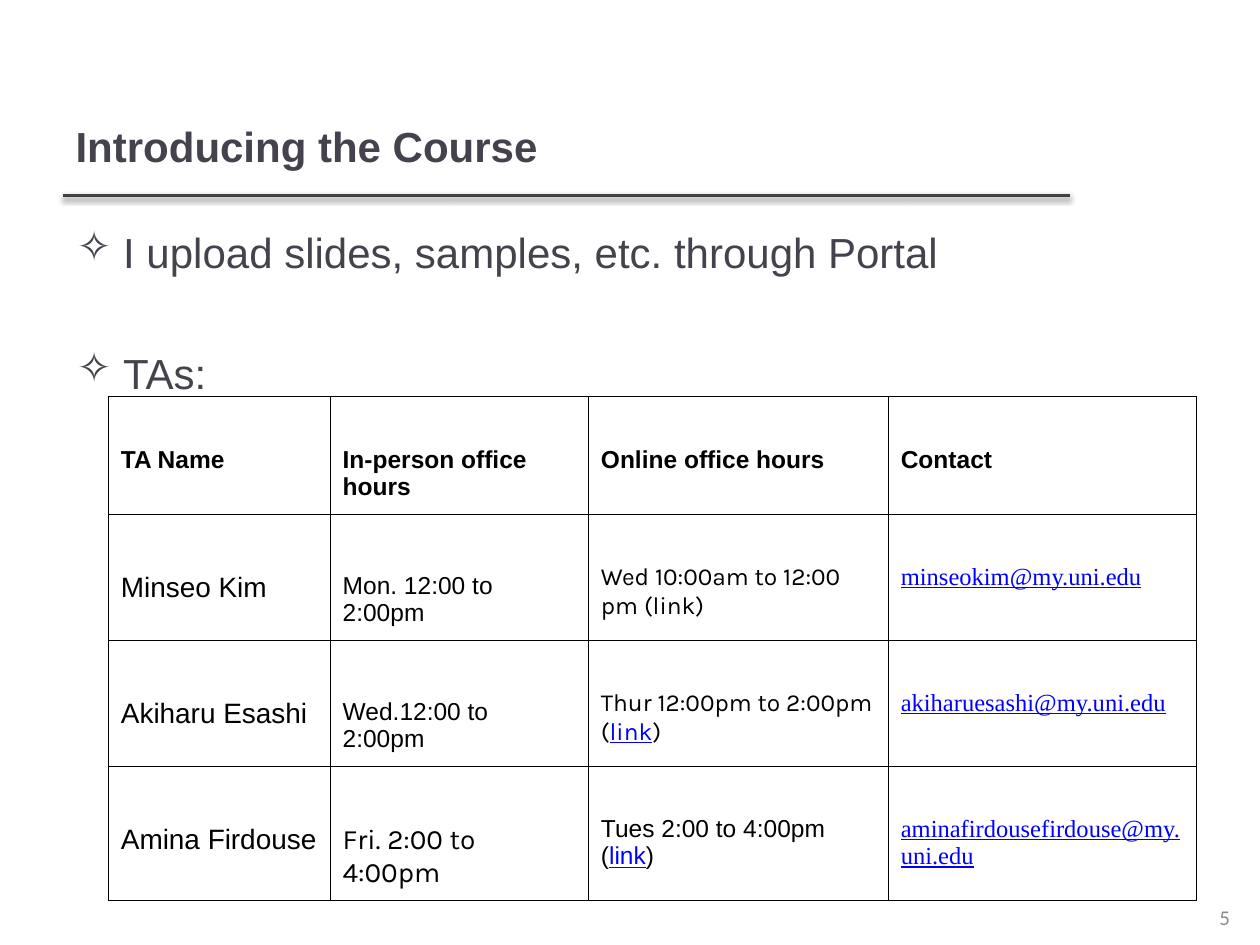
from pptx import Presentation
from pptx import util as u
from pptx.dml.color import RGBColor
from pptx.enum import shapes, text
from pptx.oxml import parse_xml
from pptx.oxml.ns import nsdecls

INK, BLACK, LINK = "46424D", "000000", "0000FF"


def color(value):
    return RGBColor.from_string(value)


def write(paragraph, content, size=14, font="Arial", ink=BLACK,
          bold=False, underline=False):
    run = paragraph.add_run()
    run.text = content
    run.font.size, run.font.name = u.Pt(size), font
    run.font.bold, run.font.underline = bold, underline
    run.font.color.rgb = color(ink)


def link(content, **style):
    return content, dict(style, ink=LINK, underline=True)


class CourseSlide:
    def __init__(self, deck):
        self.slide = deck.slides.add_slide(deck.slide_layouts[5])

    def title(self, content, *box):
        heading = self.slide.shapes.title
        heading.left, heading.top, heading.width, heading.height = map(u.Inches, box)
        frame = heading.text_frame
        frame.vertical_anchor = text.MSO_ANCHOR.MIDDLE
        frame.paragraphs[0].alignment = text.PP_ALIGN.LEFT
        write(frame.paragraphs[0], content, size=24, ink=INK, bold=True)

    def rule(self, left, right, y):
        line = self.slide.shapes.add_connector(
            shapes.MSO_CONNECTOR.STRAIGHT,
            u.Inches(left), u.Inches(y), u.Inches(right), u.Inches(y))
        line.line.color.rgb = color("404040")
        line.line.width = u.Pt(2)
        line._element.spPr.append(parse_xml(
            f'<a:effectLst {nsdecls("a")}><a:outerShdw blurRad="{u.Pt(3.1)}" '
            f'dist="{u.Pt(1.6)}" dir="5400000" rotWithShape="0"><a:srgbClr val="{BLACK}">'
            '<a:alpha val="38000"/></a:srgbClr></a:outerShdw></a:effectLst>'))

    def text_box(self, *box):
        frame = self.slide.shapes.add_textbox(*map(u.Inches, box)).text_frame
        frame.word_wrap = True
        return frame

    def bullets(self, items, *box):
        frame = self.text_box(*box)
        for index, (content, before) in enumerate(items):
            point = frame.add_paragraph() if index else frame.paragraphs[0]
            point.space_before, point.space_after = u.Pt(before), u.Pt(6)
            write(point, content, size=24, ink=INK)
            props = point._p.get_or_add_pPr()
            props.set("marL", str(u.Inches(0.38)))
            props.set("indent", str(u.Inches(-0.37)))
            props.append(parse_xml(
                f'<a:buClr {nsdecls("a")}><a:srgbClr val="{INK}"/></a:buClr>'))
            props.append(parse_xml(f'<a:buChar {nsdecls("a")} char="✧"/>'))

    def page_number(self, content, *box):
        frame = self.text_box(*box)
        frame.vertical_anchor = text.MSO_ANCHOR.MIDDLE
        frame.paragraphs[0].alignment = text.PP_ALIGN.RIGHT
        write(frame.paragraphs[0], content, size=12, font="Calibri", ink="8B8B8B")

    def table(self, rows, left, top, widths, heights):
        grid = self.slide.shapes.add_table(
            len(rows), len(widths), u.Inches(left), u.Inches(top),
            u.Inches(sum(widths)), u.Inches(sum(heights))).table
        grid.first_row = grid.horz_banding = False
        for column, width in zip(grid.columns, widths):
            column.width = u.Inches(width)
        for r, (row, height) in enumerate(zip(rows, heights)):
            grid.rows[r].height = u.Inches(height)
            for c, runs in enumerate(row):
                # Names and in-person hours sit a little lower in their rows
                drop = 0.46 if r and c < 2 else 0.39
                self.cell(grid.cell(r, c), runs, drop)

    def cell(self, cell, runs, drop):
        cell.margin_top = u.Inches(drop)
        cell.fill.background()
        for content, style in runs:
            write(cell.text_frame.paragraphs[0], content, **style)
        props = cell._tc.get_or_add_tcPr()
        for position, side in enumerate("LRTB"):
            props.insert(position, parse_xml(
                f'<a:ln{side} {nsdecls("a")} w="{u.Pt(0.6)}"><a:solidFill>'
                f'<a:srgbClr val="{BLACK}"/></a:solidFill></a:ln{side}>'))


def assistant(name, in_person, online, mail):
    address = link(mail + "@my.uni.edu", font="Times New Roman")
    return [[(name, {"size": 16})], [in_person], online, [address]]


deck = Presentation()
deck.slide_width, deck.slide_height = u.Inches(10), u.Inches(7.5)
course = CourseSlide(deck)

# Heading
course.rule(0.5, 8.49, 1.55)
course.title("Introducing the Course", 0.5, 0.76, 7.98, 0.79)

# Main points
course.bullets([("I upload slides, samples, etc. through Portal", 2), ("TAs:", 34)],
               0.5, 1.75, 9, 4.95)
course.page_number("5", 7.53, 7.08, 2.33, 0.4)

# Teaching assistants
karla = {"font": "Karla"}
headings = ["TA Name", "In-person office hours", "Online office hours", "Contact"]
office_hours = [
    [[(heading, {"bold": True})] for heading in headings],
    assistant("Minseo Kim", ("Mon. 12:00 to 2:00pm", {}),
              [("Wed 10:00am to 12:00 pm (link)", karla)], "minseokim"),
    assistant("Akiharu Esashi", ("Wed.12:00 to 2:00pm", {}),
              [("Thur 12:00pm to 2:00pm (", karla), link("link", **karla), (")", karla)],
              "akiharuesashi"),
    assistant("Amina Firdouse", ("Fri. 2:00 to 4:00pm", {"size": 16, "font": "Karla"}),
              [("Tues 2:00 to 4:00pm (", {}), link("link"), (")", {})],
              "aminafirdousefirdouse"),
]
course.table(office_hours, 0.86, 3.15, [1.76, 2.05, 2.38, 2.45], [0.93, 1, 1, 1.07])

deck.save("out.pptx")
